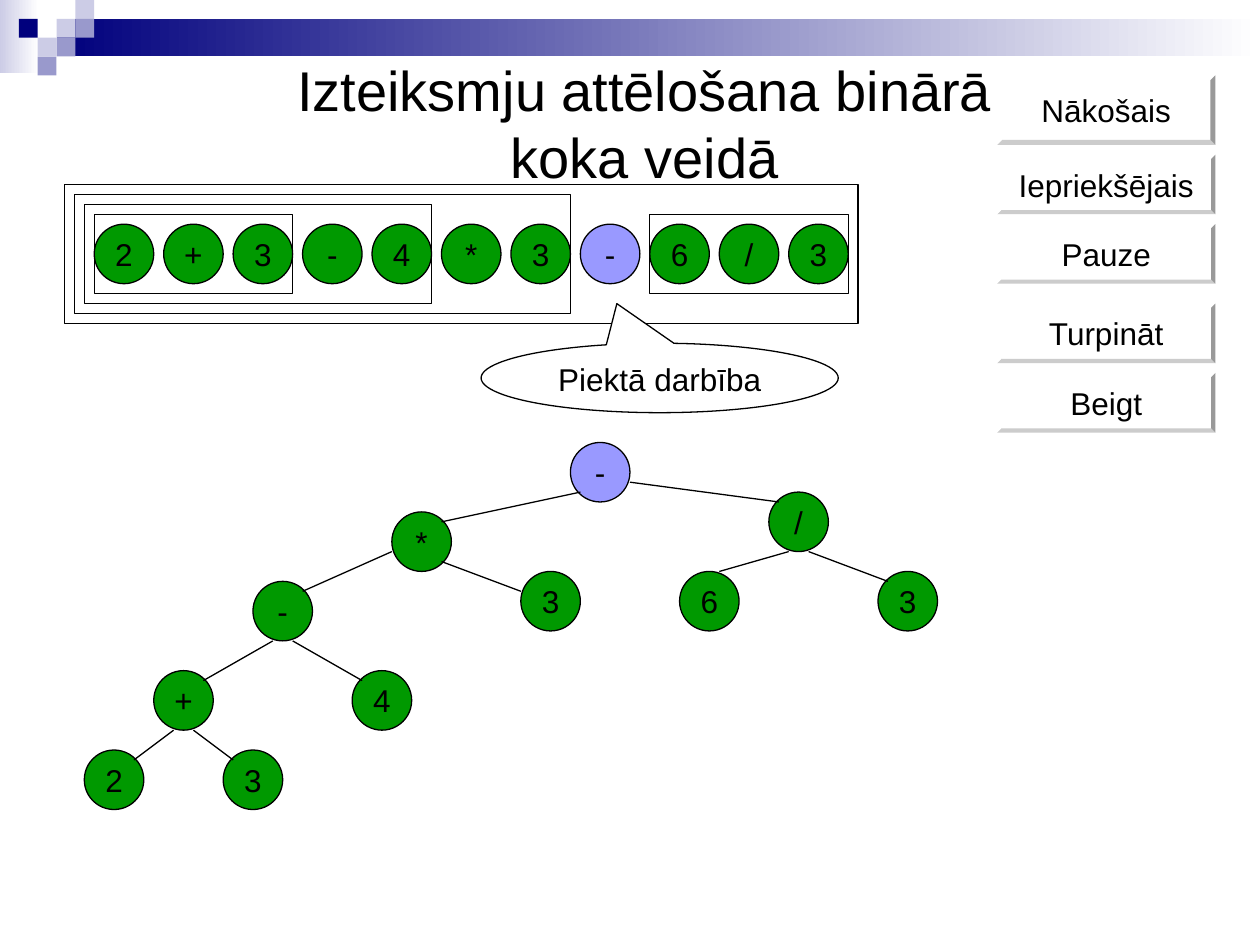
from lxml import etree
from pptx import Presentation
from pptx.dml.color import RGBColor
from pptx.enum.shapes import MSO_CONNECTOR, MSO_SHAPE
from pptx.enum.text import MSO_ANCHOR, PP_ALIGN
from pptx.oxml.ns import qn
from pptx.util import Cm, Pt

RECT, OVAL, BEVEL = MSO_SHAPE.RECTANGLE, MSO_SHAPE.OVAL, MSO_SHAPE.BEVEL
CALL = MSO_SHAPE.OVAL_CALLOUT
STRAIGHT = MSO_CONNECTOR.STRAIGHT
TOP, MIDDLE = MSO_ANCHOR.TOP, MSO_ANCHOR.MIDDLE
CENTER = PP_ALIGN.CENTER

WHITE = RGBColor(0xFF, 0xFF, 0xFF)
BLACK = RGBColor(0, 0, 0)
GREEN = RGBColor(0, 0x99, 0)
LILAC = RGBColor(0x99, 0x99, 0xFF)
NAVY = RGBColor(0, 0, 0x7D)
PALE = RGBColor(0xCC, 0xCC, 0xE6)
MID = RGBColor(0x99, 0x99, 0xCC)

TITLE = "Izteiksmju attēlošana binārā koka veidā"
NOTE = "Piektā darbība"
BANDS = [((0, 0, 0.78, 1.47), PALE), ((1.14, 0.38, 24.26, 0.76), NAVY)]
TILES = [(3, 1, PALE), (4, 0, PALE), (4, 1, MID), (2, 2, PALE),
         (1, 1, NAVY), (3, 2, MID), (2, 3, MID)]
BUTTONS = [("Nākošais", 1.52, 1.4), ("Iepriekšējais", 3.12, 1.2),
           ("Pauze", 4.52, 1.2), ("Turpināt", 6.12, 1.2), ("Beigt", 7.52, 1.2)]

TERMS = "2+3-4*3-6/3"
ACTIVE = 7
# first term, last term, nesting level, right margin
FRAMES = [(0, 10, 3, 0.2), (8, 10, 0, 0), (0, 6, 2, 0), (0, 4, 1, 0), (0, 2, 0, 0)]

NODES = [("2", 1.7, 15.12), ("+", 3.1, 13.52), ("3", 4.5, 15.12),
         ("-", 5.1, 11.72), ("4", 7.1, 13.52), ("*", 7.9, 10.32),
         ("3", 10.5, 11.52), ("6", 13.7, 11.52), ("/", 15.5, 9.92),
         ("3", 17.7, 11.52), ("-", 11.5, 8.92)]
ROOT = 10
EDGES = [(2.7, 15.32, 3.5, 14.72), (3.9, 14.72, 4.7, 15.32),
         (4.1, 13.72, 5.5, 12.92), (7.3, 13.72, 5.9, 12.92),
         (6.1, 11.92, 7.9, 11.12), (10.5, 11.92, 8.9, 11.32),
         (14.5, 11.52, 15.9, 11.12), (17.9, 11.72, 16.3, 11.12),
         (8.9, 10.52, 11.7, 9.92), (15.7, 10.12, 12.7, 9.72)]

SIZE, STEP, LEFT, ROW, PAD, TILE = 1.2, 1.4, 1.9, 4.52, 0.2, 0.38

prs = Presentation()
prs.slide_width, prs.slide_height = Cm(25.4), Cm(19.05)
slide = prs.slides.add_slide(prs.slide_layouts[6])
shapes = slide.shapes


def write(shape, text, size=18, anchor=MIDDLE, wrap=False):
    frame = shape.text_frame
    frame.word_wrap = wrap
    frame.vertical_anchor = anchor
    para = frame.paragraphs[0]
    para.text = text
    para.alignment = CENTER
    para.font.name = "Arial"
    para.font.size = Pt(size)
    para.font.color.rgb = BLACK


def draw(kind, box, fill, line=True):
    shape = shapes.add_shape(kind, *map(Cm, box))
    shape.shadow.inherit = False
    shape.fill.solid()
    shape.fill.fore_color.rgb = fill
    if line:
        shape.line.color.rgb = BLACK
        shape.line.width = Pt(0.75)
    else:
        shape.line.fill.background()
    return shape


def node(text, x, y, active):
    write(draw(OVAL, (x, y, SIZE, SIZE), LILAC if active else GREEN), text)


for box, color in BANDS:
    fill = draw(RECT, box, color, False).fill
    fill.gradient()
    fill.gradient_angle = 180
    for stop, tone in zip(fill.gradient_stops, (WHITE, color)):
        stop.color.rgb = tone

for col, row, color in TILES:
    draw(RECT, (col * TILE, row * TILE, TILE, TILE), color, False)

for first, last, level, extra in FRAMES:
    side, rise = PAD * level, PAD * (level + 1)
    wide = (last - first) * STEP + SIZE + side + extra
    draw(RECT, (LEFT + first * STEP - side, ROW - rise, wide, SIZE + 2 * rise), WHITE)

for text, y, high in BUTTONS:
    button = draw(BEVEL, (20.1, y, 4.4, high), WHITE, False)
    button.adjustments[0] = 0.07
    write(button, text)

title = shapes.add_textbox(Cm(4.5), Cm(1), Cm(17), Cm(2.96))
write(title, TITLE, 32, TOP, True)

for i, term in enumerate(TERMS):
    node(term, LEFT + i * STEP, ROW, i == ACTIVE)

note = draw(CALL, (9.7, 6.92, 7.2, 1.4), WHITE)
note.adjustments[0], note.adjustments[1] = -0.12, -1.07
write(note, NOTE, anchor=TOP, wrap=True)

for i, (text, x, y) in enumerate(NODES):
    node(text, x, y, i == ROOT)

for ends in EDGES:
    edge = shapes.add_connector(STRAIGHT, *map(Cm, ends))
    edge.line.color.rgb = BLACK
    edge.line.width = Pt(0.75)
    etree.SubElement(edge._element.spPr, qn("a:effectLst"))

prs.save("out.pptx")
